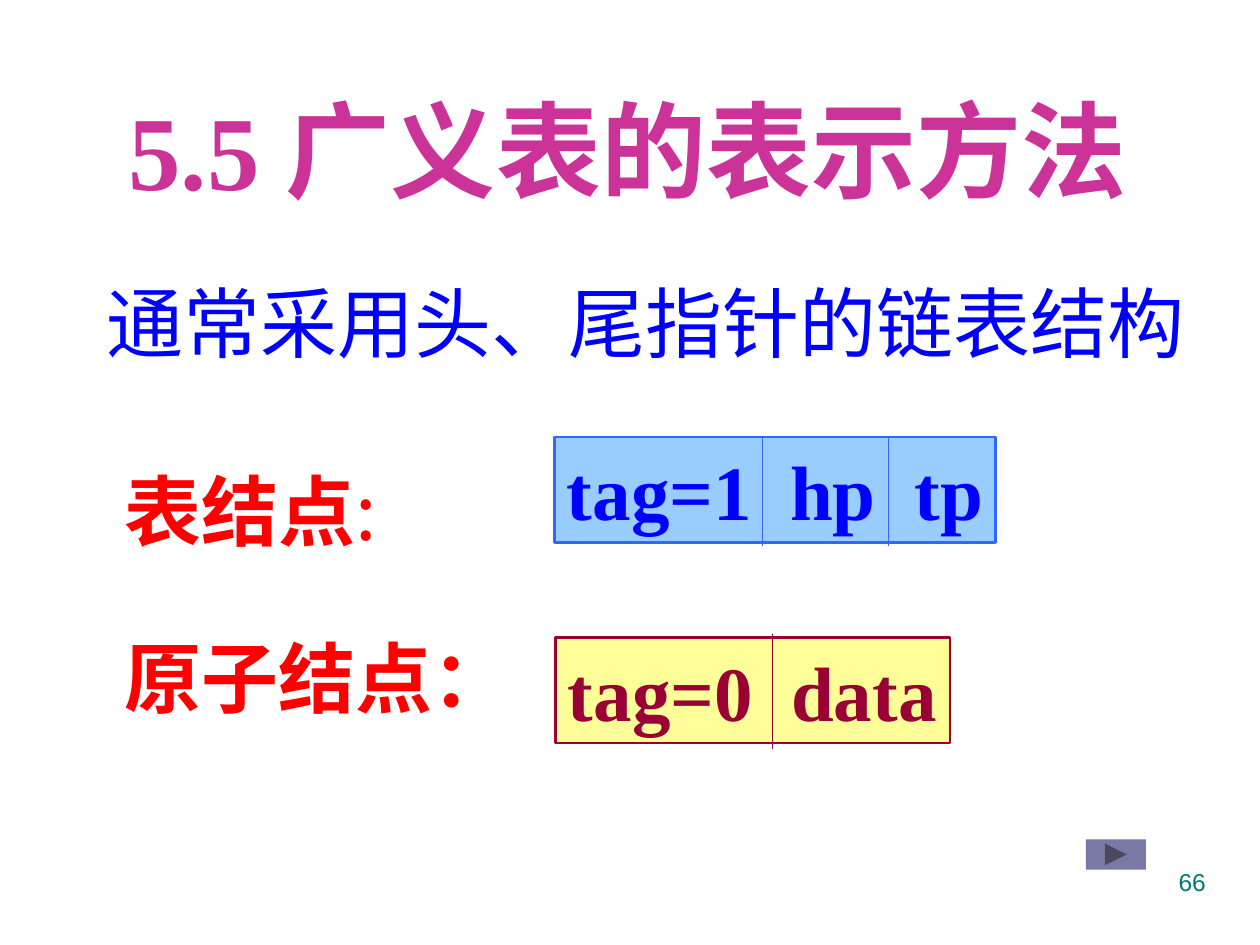
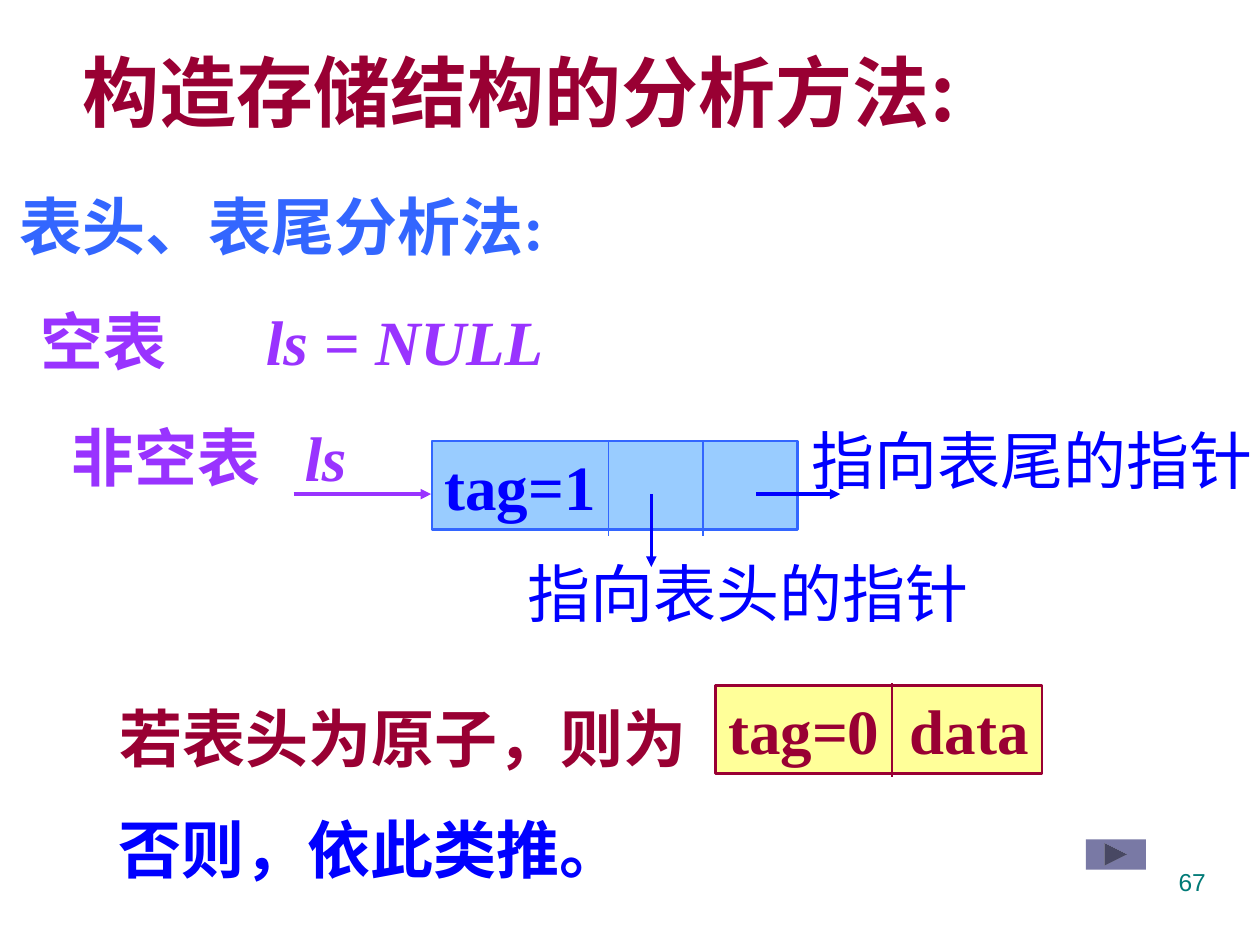
from dataclasses import dataclass

from lxml import etree
from pptx import Presentation
from pptx import util as u
from pptx.dml.color import RGBColor
from pptx.enum import shapes, text
from pptx.oxml import ns

COLORS = {
    "magenta": "CC3399", "blue": "0000FF", "red": "FF0000", "wine": "990033",
    "purple": "9933FF", "edge": "3366FF", "sky": "99CCFF", "cream": "FFFF99",
    "teal": "007A77", "button": "7979A5",
}
SERIF, CJK, SANS = "Times New Roman", "Noto Sans CJK SC", "Arial"
TITLE_ONLY = 5


@dataclass(frozen=True)
class Run:
    text: str
    font: str = CJK
    bold: bool = True
    italic: bool = False


@dataclass(frozen=True)
class Label:
    """A text block: (left, top, width, height) and tab stops in cm, size in points."""
    at: tuple[float, ...]
    size: int
    color: str
    paragraphs: tuple[tuple[Run, ...], ...]
    tabs: tuple[float, ...] = ()
    gap: int = 0


@dataclass(frozen=True)
class Line:
    start: tuple[float, float]
    end: tuple[float, float]
    color: str
    arrow: bool = False


@dataclass(frozen=True)
class Node:
    """A storage node: a filled box with its field dividers."""
    label: Label
    fill: str
    edge: str
    dividers: tuple[float, ...]
    span: tuple[float, float]


@dataclass(frozen=True)
class Page:
    number: int
    title: Label
    labels: tuple[Label, ...]
    nodes: tuple[Node, ...]
    arrows: tuple[Line, ...] = ()


def rgb(name: str) -> RGBColor:
    return RGBColor.from_string(COLORS[name])


def cm(values) -> list[u.Cm]:
    return [u.Cm(v) for v in values]


def child(parent, tag: str, **attrs: str):
    return etree.SubElement(parent, ns.qn(tag), attrs)


def add_run(p, run: Run, size: int, color: str) -> None:
    r = p.add_run()
    r.text = run.text
    f = r.font
    f.name, f.size, f.bold, f.italic = run.font, u.Pt(size), run.bold, run.italic
    f.color.rgb = rgb(color)
    child(r._r.get_or_add_rPr(), "a:ea", typeface=CJK)


def write(sp, label: Label, bottom: float = 0, align=text.PP_ALIGN.LEFT,
          anchor=text.MSO_ANCHOR.BOTTOM) -> None:
    tf = sp.text_frame
    tf.word_wrap = True
    tf.auto_size = text.MSO_AUTO_SIZE.NONE
    tf.vertical_anchor = anchor
    tf.margin_left, tf.margin_top, tf.margin_bottom = cm((0.25, 0.13, bottom))
    tf.margin_right = u.Cm(0.25) if align == text.PP_ALIGN.RIGHT else 0
    for i, runs in enumerate(label.paragraphs):
        p = tf.add_paragraph() if i else tf.paragraphs[0]
        p.alignment = align
        p.space_before = u.Pt(label.gap if i else 0)
        if label.tabs:
            stops = child(p._p.get_or_add_pPr(), "a:tabLst")
            for stop in label.tabs:
                child(stops, "a:tab", pos=str(int(u.Cm(stop))), algn="l")
        for run in runs:
            add_run(p, run, label.size, label.color)


def add_label(s, label: Label, **style) -> None:
    write(s.shapes.add_textbox(*cm(label.at)), label, **style)


def set_title(s, label: Label) -> None:
    sp = s.shapes.title
    sp.left, sp.top, sp.width, sp.height = cm(label.at)
    write(sp, label)


def add_line(s, line: Line) -> None:
    c = s.shapes.add_connector(shapes.MSO_CONNECTOR.STRAIGHT, *cm(line.start + line.end))
    c.line.color.rgb = rgb(line.color)
    c.line.width = u.Pt(2 if line.arrow else 0.75)
    if line.arrow:
        child(c.line._get_or_add_ln(), "a:tailEnd", type="triangle")
    child(c._element.spPr, "a:effectLst")


def add_shape(s, kind, at: tuple[float, ...], fill: str):
    sp = s.shapes.add_shape(kind, *cm(at))
    sp.shadow.inherit = False
    sp.fill.solid()
    sp.fill.fore_color.rgb = rgb(fill)
    return sp


def add_node(s, node: Node) -> None:
    sp = add_shape(s, shapes.MSO_SHAPE.RECTANGLE, node.label.at, node.fill)
    sp.line.color.rgb = rgb(node.edge)
    sp.line.width = u.Pt(1.5)
    write(sp, node.label, bottom=0.13)
    top, bottom = node.span
    for x in node.dividers:
        add_line(s, Line((x, top), (x, bottom), node.edge))


def add_footer(s, number: int) -> None:
    label = Label((18.21, 17.35, 6.35, 1.32), 14, "teal",
                  ((Run(str(number), SANS, bold=False),),))
    add_label(s, label, bottom=0.13, align=text.PP_ALIGN.RIGHT, anchor=text.MSO_ANCHOR.TOP)
    button = add_shape(s, shapes.MSO_SHAPE.ACTION_BUTTON_FORWARD_OR_NEXT,
                       (21.89, 16.92, 1.21, 0.61), "button")
    button.line.fill.background()


def list_node(at, size: int, fields: str, tabs, dividers, span) -> Node:
    label = Label(at, size, "blue", ((Run(fields, SERIF),),), tabs)
    return Node(label, "sky", "edge", dividers, span)


def atom_node(at, size: int, tab: float, divider: float, span) -> Node:
    label = Label(at, size, "wine", ((Run("tag=0\tdata", SERIF),),), (tab,))
    return Node(label, "cream", "wine", (divider,), span)


def line_of(at, size: int, color: str, *runs: Run, tabs=()) -> Label:
    return Label(at, size, color, (runs,), tabs)


PAGES = (
    Page(
        66,
        line_of((2.34, 1.47, 22.17, 2.79), 60, "magenta",
                Run("5.5 ", SERIF), Run("广义表的表示方法")),
        (
            line_of((1.9, 5.28, 22.25, 2.13), 44, "blue",
                    Run("通常采用头、尾指针的链表结构", bold=False)),
            Label((2.26, 8.74, 8.28, 5.84), 44, "red",
                  ((Run("表结点"), Run(":", bold=False)), (Run("原子结点：", SERIF),)),
                  gap=43),
        ),
        (
            list_node((11.18, 8.81, 8.89, 2.13), 44, "tag=1\thp\ttp",
                      (4.5, 7.01), (15.37, 17.91), (8.8, 11)),
            atom_node((11.2, 12.85, 7.95, 2.13), 44, 4.5, 15.57, (12.78, 15.09)),
        ),
    ),
    Page(
        67,
        line_of((1.42, 0.64, 18.9, 2.13), 44, "wine", Run("构造存储结构的分析方法:")),
        (
            line_of((0.15, 3.38, 11.38, 1.93), 36, "edge", Run("表头、表尾分析法:", SERIF)),
            line_of((0.56, 5.84, 12.75, 1.78), 36, "purple", Run("空表\t", SERIF),
                    Run("ls = NULL", SERIF, italic=True), tabs=(4.55,)),
            line_of((1.19, 8.18, 6.73, 1.78), 36, "purple", Run("非空表\t", SERIF),
                    Run("ls", SERIF, italic=True), tabs=(4.7,)),
            line_of((10.39, 10.92, 9.4, 1.78), 36, "blue",
                    Run("指向表头的指针", SERIF, bold=False)),
            line_of((16.1, 8.25, 9.4, 1.78), 36, "blue",
                    Run("指向表尾的指针", SERIF, bold=False)),
            line_of((2.16, 13.69, 11.94, 1.93), 36, "wine", Run("若表头为原子，则为")),
            line_of((2.13, 16.08, 10.67, 1.78), 36, "blue", Run("否则，依此类推。")),
        ),
        (
            list_node((8.71, 8.89, 7.37, 1.78), 36, "tag=1",
                      (), (12.27, 14.17), (8.89, 10.8)),
            atom_node((14.43, 13.82, 6.58, 1.78), 36, 3.66, 17.98, (13.77, 15.67)),
        ),
        (
            Line((5.92, 9.96), (8.69, 9.96), "purple", arrow=True),
            Line((13.13, 9.96), (13.13, 11.43), "blue", arrow=True),
            Line((15.24, 9.96), (16.94, 9.96), "blue", arrow=True),
        ),
    ),
)


def add_page(prs, page: Page) -> None:
    s = prs.slides.add_slide(prs.slide_layouts[TITLE_ONLY])
    set_title(s, page.title)
    for node in page.nodes:
        add_node(s, node)
    for label in page.labels:
        add_label(s, label)
    for arrow in page.arrows:
        add_line(s, arrow)
    add_footer(s, page.number)


def main() -> None:
    prs = Presentation()
    prs.slide_width, prs.slide_height = cm((25.4, 19.05))
    for page in PAGES:
        add_page(prs, page)
    prs.save("out.pptx")


if __name__ == "__main__":
    main()
